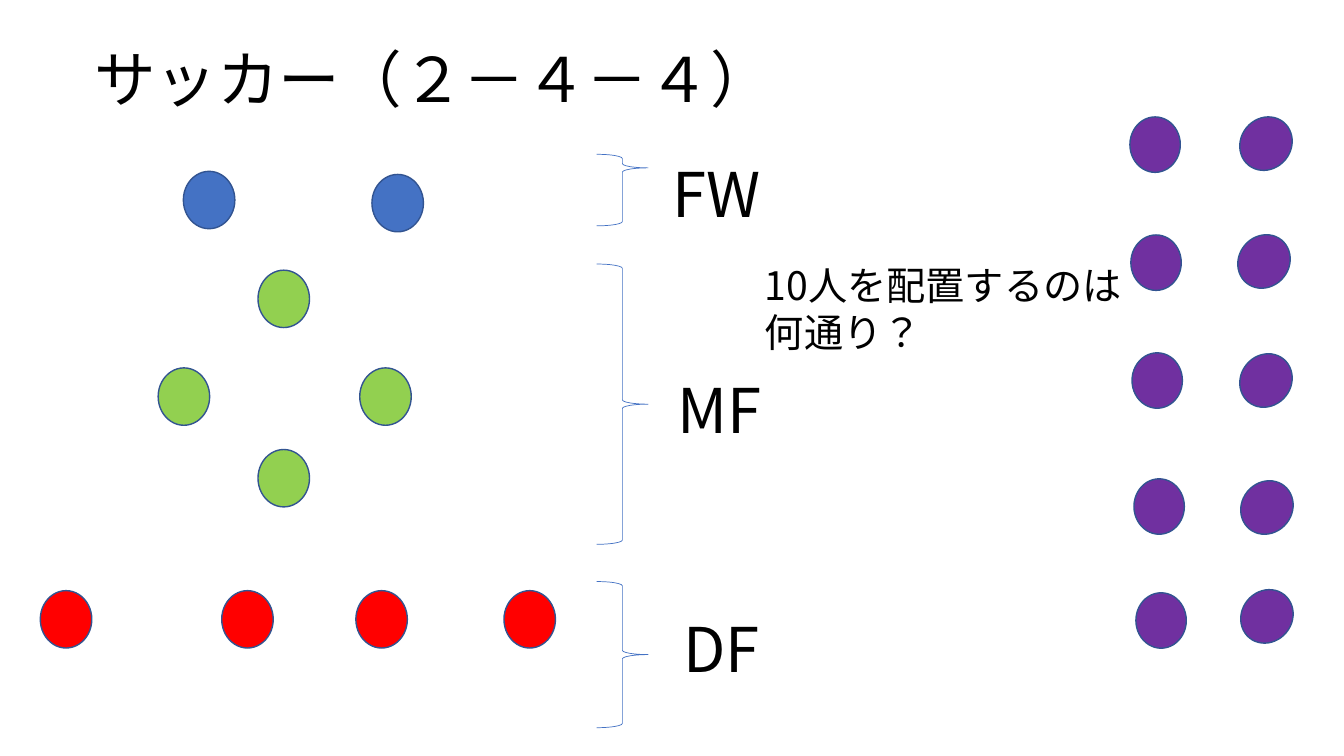
from pptx import Presentation
from pptx.dml.color import RGBColor
from pptx.enum.lang import MSO_LANGUAGE_ID
from pptx.enum.shapes import MSO_SHAPE
from pptx.enum.text import MSO_ANCHOR, MSO_AUTO_SIZE, PP_ALIGN
from pptx.oxml.ns import qn
from pptx.util import Pt

FONT = "Noto Sans CJK JP"
BLUE, OUTLINE = "4472C4", "325491"
PLAYER_SIZE, BENCH_SIZE = (36.8, 41), (36, 39.6)

TITLE = "サッカー（２－４－４）"
QUESTION = "10人を配置するのは\n何通り？"

# Colour and the top left corner of every player
FORMATION = {
    BLUE: [(131, 122.4), (265.7, 124.6)],
    "92D050": [(184.3, 193), (113, 262.8), (257, 262.8), (184.3, 321.1)],
    "FF0000": [(28.8, 421.9), (158.4, 421.9), (254.2, 421.9), (360, 421.9)],
}
# Rotation and the top left corner of every waiting player
BENCH = {
    0: [(807.1, 83.5), (807.8, 167.8), (808.6, 252), (810, 342), (811.4, 423.4)],
    39: [(886.3, 82.8), (884.9, 167), (886.3, 252), (887, 342.7), (887, 420.5)],
}
# Label, label left and top, brace top and height, brace point
LINES = [
    ("FW", 473, 88.6, 110.2, 51.1, 0.19),
    ("MF", 476.6, 243.4, 188.6, 200.2, 0.5),
    ("DF", 481, 414, 415.4, 104.4, 0.5),
]


def colour(code):
    """Turn a hex string into a colour."""
    return RGBColor.from_string(code)


def add_outline_shape(page, kind, place, line, width, fill=None):
    """Add a flat preset shape, filled only if a fill is given."""
    shape = page.shapes.add_shape(kind, *map(Pt, place))
    shape.shadow.inherit = False
    shape.line.color.rgb = colour(line)
    shape.line.width = Pt(width)
    if fill:
        shape.fill.solid()
        shape.fill.fore_color.rgb = colour(fill)
    else:
        shape.fill.background()
    return shape


def add_player(page, corner, size, fill, rotation=0):
    """Add one player as an oval."""
    oval = add_outline_shape(page, MSO_SHAPE.OVAL, (*corner, *size), OUTLINE, 1, fill)
    oval.rotation = rotation


def write(box, text, size, anchor=MSO_ANCHOR.MIDDLE, spacing=0.9):
    """Fill a box with left-aligned black text."""
    frame = box.text_frame
    frame.text = text
    frame.word_wrap = True
    frame.auto_size = MSO_AUTO_SIZE.NONE
    frame.vertical_anchor = anchor
    for para in frame.paragraphs:
        para.alignment = PP_ALIGN.LEFT
        para.line_spacing = spacing
        for span in para.runs:
            span.font.size = Pt(size)
            span.font.name = FONT
            span.font.language_id = MSO_LANGUAGE_ID.JAPANESE
            span.font.color.rgb = colour("000000")
            east_asian = span.font._element.makeelement(qn("a:ea"), {"typeface": FONT})
            span.font._element.find(qn("a:latin")).addnext(east_asian)


deck = Presentation()
deck.slide_width, deck.slide_height = Pt(960), Pt(540)
page = deck.slides.add_slide(deck.slide_layouts[5])

title = page.shapes.title
title.left, title.top, title.width, title.height = map(Pt, (60, 6.5, 828, 104.4))
write(title, TITLE, 44)

for fill, corners in FORMATION.items():
    for corner in corners:
        add_player(page, corner, PLAYER_SIZE, fill)

for rotation, corners in BENCH.items():
    for corner in corners:
        add_player(page, corner, BENCH_SIZE, "7030A0", rotation)

for label, left, top, brace_top, brace_height, point in LINES:
    brace = add_outline_shape(page, MSO_SHAPE.RIGHT_BRACE,
                              (426.2, brace_top, 36.8, brace_height), BLUE, 0.5)
    brace.adjustments[0] = 0.083
    brace.adjustments[1] = point
    write(page.shapes.add_textbox(Pt(left), Pt(top), Pt(119.5), Pt(104.4)), label, 44)

question = page.shapes.add_textbox(Pt(539.3), Pt(182.9), Pt(272.2), Pt(74.9))
write(question, QUESTION, 28, MSO_ANCHOR.TOP, 1.0)

deck.save("out.pptx")
